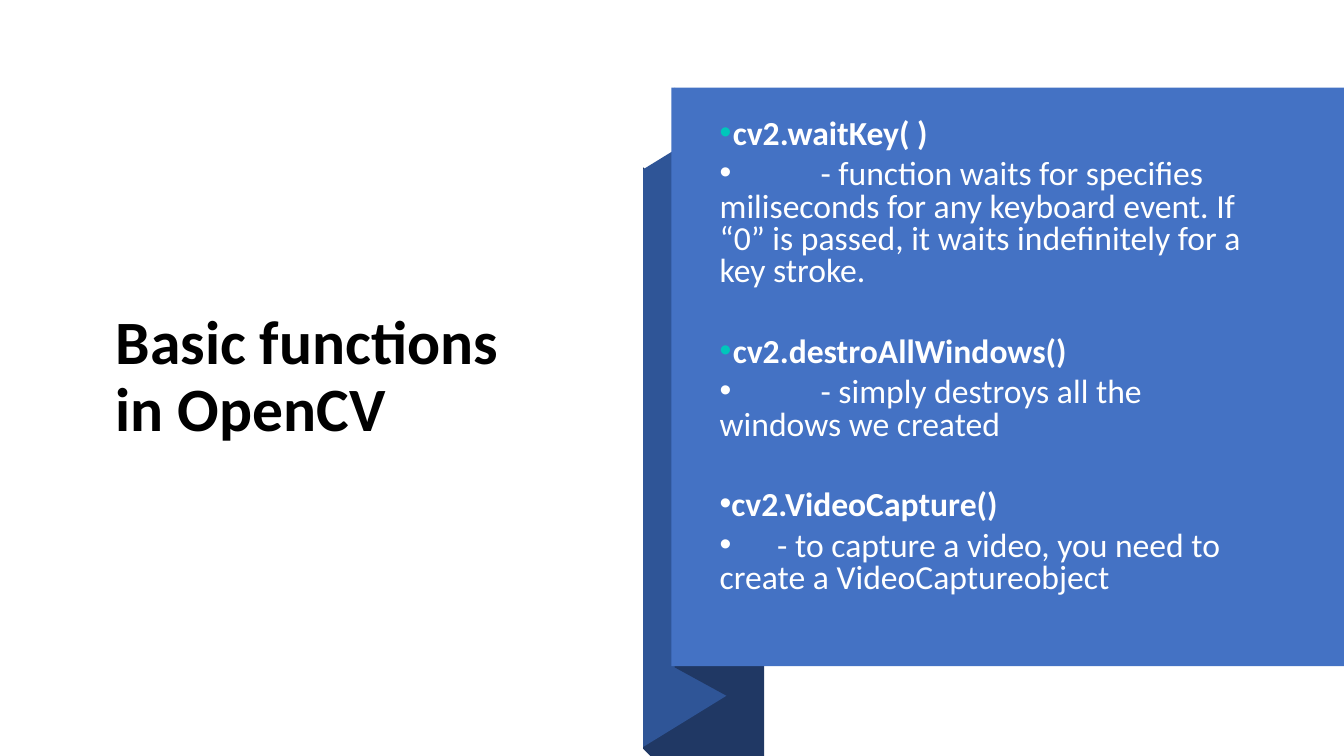
from pptx import Presentation
from pptx.dml.color import RGBColor
from pptx.enum.shapes import MSO_SHAPE
from pptx.enum.text import MSO_ANCHOR
from pptx.oxml.ns import qn
from pptx.util import Inches, Pt
from lxml import etree

MIDDLE = MSO_ANCHOR.MIDDLE
RECTANGLE = MSO_SHAPE.RECTANGLE

THEME = {
    "font": "Calibri", "title_size": 44, "body_size": 24,
    "ink": "000000", "paper": "FFFFFF", "accent": "00C6BB",
    "panel": "4472C4", "fold": "2F5597", "shade": "203864",
}

TITLE = "Basic functions in OpenCV"
# function name, bullet colour, left margin, description, tab stop
FUNCTIONS = [
    ("cv2.waitKey( )", "accent", 0.13,
     "- function waits for specifies miliseconds for any keyboard event. "
     "If “0” is passed, it waits indefinitely for a key stroke.", 1.0),
    ("cv2.destroAllWindows()", "accent", 0.13,
     "- simply destroys all the windows we created", 1.0),
    ("cv2.VideoCapture()", "paper", 0,
     "- to capture a video, you need to create a VideoCaptureobject", 0.57),
]

TITLE_BOX = (1.05, 1.23, 4.58, 5.04)
BODY_BOX = (7.04, 1.23, 5.54, 5.04)
PANEL_BOX = (6.66, 0.87, 6.67, 5.74)
# corners in hundredths of an inch
RIBBON = [
    ("shade", [(638, 166), (758, 291), (758, 750), (645, 750), (638, 743)]),
    ("fold", [(638, 741), (721, 690), (721, 117), (638, 168)]),
    ("shade", [(669, 662), (722, 691), (722, 116), (669, 87)]),
]
SPACE_AFTER = 6
FUNCTION_GAP = 28.5
BOTTOM_INSET = 0.45


def color(name):
    return RGBColor.from_string(THEME[name])


def paint(shape, fill):
    shape.shadow.inherit = False
    shape.fill.solid()
    shape.fill.fore_color.rgb = color(fill)
    shape.line.fill.background()


def add_frame(slide, box):
    frame = slide.shapes.add_textbox(*map(Inches, box)).text_frame
    frame.word_wrap = True
    frame.vertical_anchor = MIDDLE
    return frame


def write(paragraph, text, size, ink, bold, line_spacing):
    paragraph.line_spacing = line_spacing
    paragraph.space_after = Pt(SPACE_AFTER)
    run = paragraph.add_run()
    run.text = text
    run.font.name = THEME["font"]
    run.font.size = Pt(THEME[size])
    run.font.bold = bold
    run.font.color.rgb = color(ink)


def add_bullet(paragraph, bullet, margin, tab=None):
    """Give the paragraph a bullet, a hanging indent and an optional tab stop."""
    props = paragraph._p.get_or_add_pPr()
    props.set("marL", str(Inches(margin)))
    props.set("indent", str(Inches(-0.25)))
    bullet_color = etree.SubElement(props, qn("a:buClr"))
    etree.SubElement(bullet_color, qn("a:srgbClr"), val=THEME[bullet])
    etree.SubElement(props, qn("a:buFont"), typeface="Arial")
    etree.SubElement(props, qn("a:buChar"), char="•")
    if tab:
        tabs = etree.SubElement(props, qn("a:tabLst"))
        etree.SubElement(tabs, qn("a:tab"), pos=str(Inches(tab)), algn="l")


def add_ribbon(slide):
    for fill, (start, *rest) in RIBBON:
        outline = slide.shapes.build_freeform(*start, scale=Inches(0.01))
        outline.add_line_segments(rest, close=True)
        paint(outline.convert_to_shape(), fill)
    paint(slide.shapes.add_shape(RECTANGLE, *map(Inches, PANEL_BOX)), "panel")


def add_functions(slide):
    frame = add_frame(slide, BODY_BOX)
    frame.margin_bottom = Inches(BOTTOM_INSET)
    for index, (name, bullet, margin, description, tab) in enumerate(FUNCTIONS):
        heading = frame.add_paragraph() if index else frame.paragraphs[0]
        write(heading, name, "body_size", "paper", True, 0.8)
        if index:
            heading.space_before = Pt(FUNCTION_GAP)
        add_bullet(heading, bullet, margin)
        detail = frame.add_paragraph()
        write(detail, "\t" + description, "body_size", "paper", False, 0.8)
        add_bullet(detail, "paper", 0, tab)


def main():
    deck = Presentation()
    deck.slide_width, deck.slide_height = Inches(13.33), Inches(7.5)
    slide = deck.slides.add_slide(deck.slide_layouts[6])
    title = add_frame(slide, TITLE_BOX).paragraphs[0]
    write(title, TITLE, "title_size", "ink", True, 0.9)
    add_ribbon(slide)
    add_functions(slide)
    deck.save("out.pptx")


if __name__ == "__main__":
    main()
